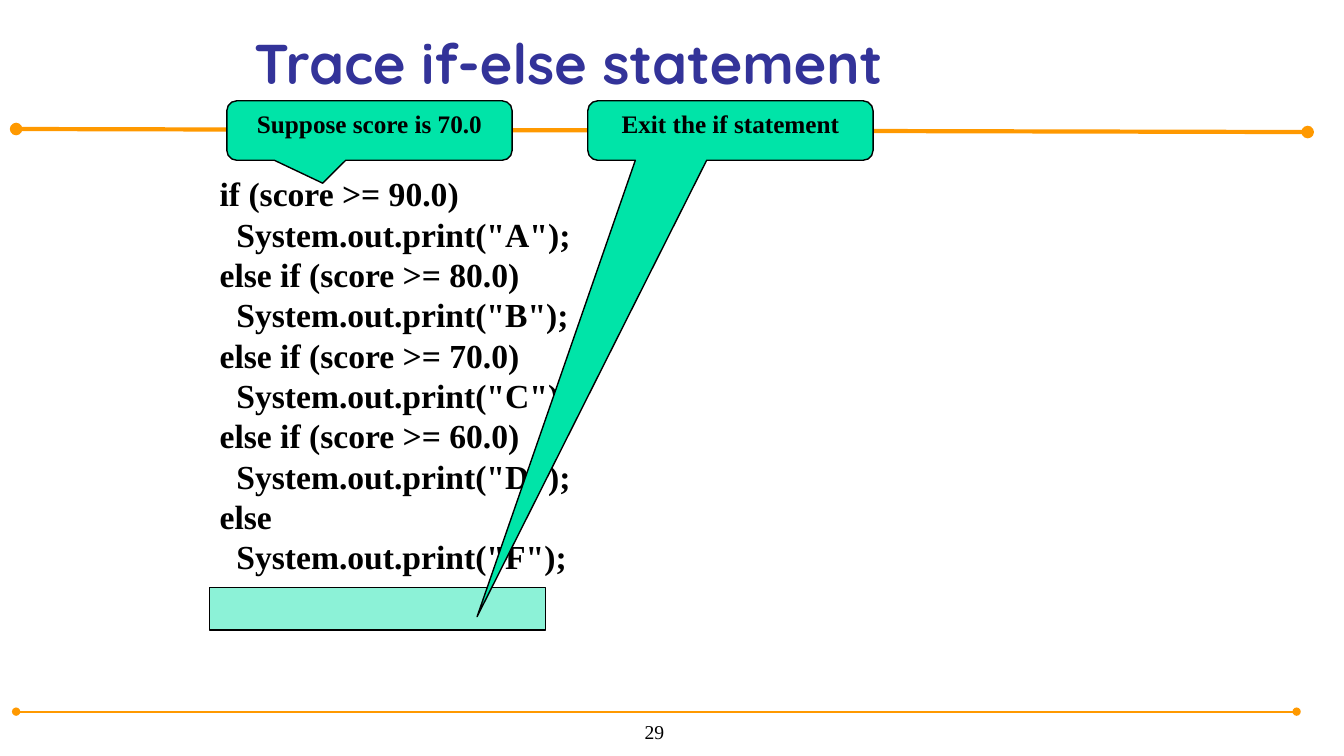
import pptx
import pptx.util
import pptx.dml.color
import pptx.enum.shapes
import pptx.enum.text
import pptx.oxml
import pptx.oxml.ns
from pptx.util import Inches

COLORS = {
    "rule": "FF9900",
    "title": "333399",
    "text": "000000",
    "accent": "00E4A8",
}
BODY_FONT = "Times New Roman"
TITLE_FONT = "Quicksand"
ALIGN = pptx.enum.text.PP_ALIGN
ANCHOR = pptx.enum.text.MSO_ANCHOR
SHAPE = pptx.enum.shapes.MSO_SHAPE

CODE_LINES = [
    "if (score >= 90.0)",
    '  System.out.print("A");',
    "else if (score >= 80.0)",
    '  System.out.print("B");',
    "else if (score >= 70.0)",
    '  System.out.print("C");',
    "else if (score >= 60.0)",
    '  System.out.print("D");',
    "else",
    '  System.out.print("F");',
]


def rgb(name):
    return pptx.dml.color.RGBColor.from_string(COLORS[name])


def add_element(parent, tag, **attributes):
    element = pptx.oxml.parse_xml(f"<a:{tag} {pptx.oxml.ns.nsdecls('a')}/>")
    for name, value in attributes.items():
        element.set(name, value)
    parent.append(element)


def write_lines(frame, lines, size, bold=True, font=BODY_FONT, color="text",
                align=ALIGN.LEFT, anchor=ANCHOR.TOP):
    frame.word_wrap = True
    frame.vertical_anchor = anchor
    for index, line in enumerate(lines):
        paragraph = frame.add_paragraph() if index else frame.paragraphs[0]
        paragraph.alignment = align
        paragraph.space_before = pptx.util.Pt(0)
        run = paragraph.add_run()
        run.text = line
        run.font.name = font
        run.font.size = pptx.util.Pt(size)
        run.font.bold = bold
        run.font.color.rgb = rgb(color)


def add_title(slide, text):
    title = slide.shapes.title
    title.left, title.top = Inches(2.42), Inches(0)
    title.width, title.height = Inches(8.75), Inches(1)
    write_lines(title.text_frame, [text], 40, font=TITLE_FONT, color="title",
                anchor=ANCHOR.BOTTOM)


def add_text(slide, left, top, width, height, lines, size, **style):
    box = slide.shapes.add_textbox(Inches(left), Inches(top), Inches(width), Inches(height))
    write_lines(box.text_frame, lines, size, **style)


def add_rule(slide, left, start_y, right, end_y, weight):
    rule = slide.shapes.add_connector(
        pptx.enum.shapes.MSO_CONNECTOR.STRAIGHT,
        Inches(left), Inches(start_y), Inches(right), Inches(end_y))
    rule.line.color.rgb = rgb("rule")
    rule.line.width = pptx.util.Pt(weight)
    line = rule.line._get_or_add_ln()
    add_element(line, "headEnd", type="oval")
    add_element(line, "tailEnd", type="oval")
    add_element(rule._element.spPr, "effectLst")


def add_box(slide, kind, left, top, width, height):
    shape = slide.shapes.add_shape(
        kind, Inches(left), Inches(top), Inches(width), Inches(height))
    shape.shadow.inherit = False
    shape.fill.solid()
    shape.fill.fore_color.rgb = rgb("accent")
    shape.line.color.rgb = rgb("text")
    shape.line.width = pptx.util.Pt(1)
    return shape


def add_callout(slide, left, text, tip_x, tip_y):
    callout = add_box(slide, SHAPE.ROUNDED_RECTANGULAR_CALLOUT, left, 1, 2.83, 0.59)
    for index, value in enumerate((tip_x, tip_y, 0.167)):
        callout.adjustments[index] = value
    write_lines(callout.text_frame, [text], 18, align=ALIGN.CENTER)


def add_highlight(slide, left, top, width, height):
    highlight = add_box(slide, SHAPE.RECTANGLE, left, top, width, height)
    fill_color = highlight._element.spPr.find(".//" + pptx.oxml.ns.qn("a:srgbClr"))
    add_element(fill_color, "alpha", val="45000")


def main():
    presentation = pptx.Presentation()
    presentation.slide_width = Inches(13.33)
    presentation.slide_height = Inches(7.5)
    slide = presentation.slides.add_slide(presentation.slide_layouts[5])

    # Rules and page number
    add_rule(slide, 0.16, 1.28, 12.97, 1.31, 3)
    add_rule(slide, 0.16, 7.06, 12.86, 7.06, 1.5)
    add_text(slide, 4.38, 6.98, 4.22, 0.44, ["29"], 14, bold=False,
             align=ALIGN.CENTER, anchor=ANCHOR.BOTTOM)

    # Title and code
    add_title(slide, "Trace if-else statement")
    add_text(slide, 2.08, 1.67, 3.75, 4.14, CODE_LINES, 24)

    # Trace step: callouts and the highlighted exit point
    add_callout(slide, 2.25, "Suppose score is 70.0", -0.164, 0.885)
    add_highlight(slide, 2.08, 5.83, 3.33, 0.42)
    add_callout(slide, 5.83, "Exit the if statement", -0.888, 8.172)

    presentation.save("out.pptx")


if __name__ == "__main__":
    main()
